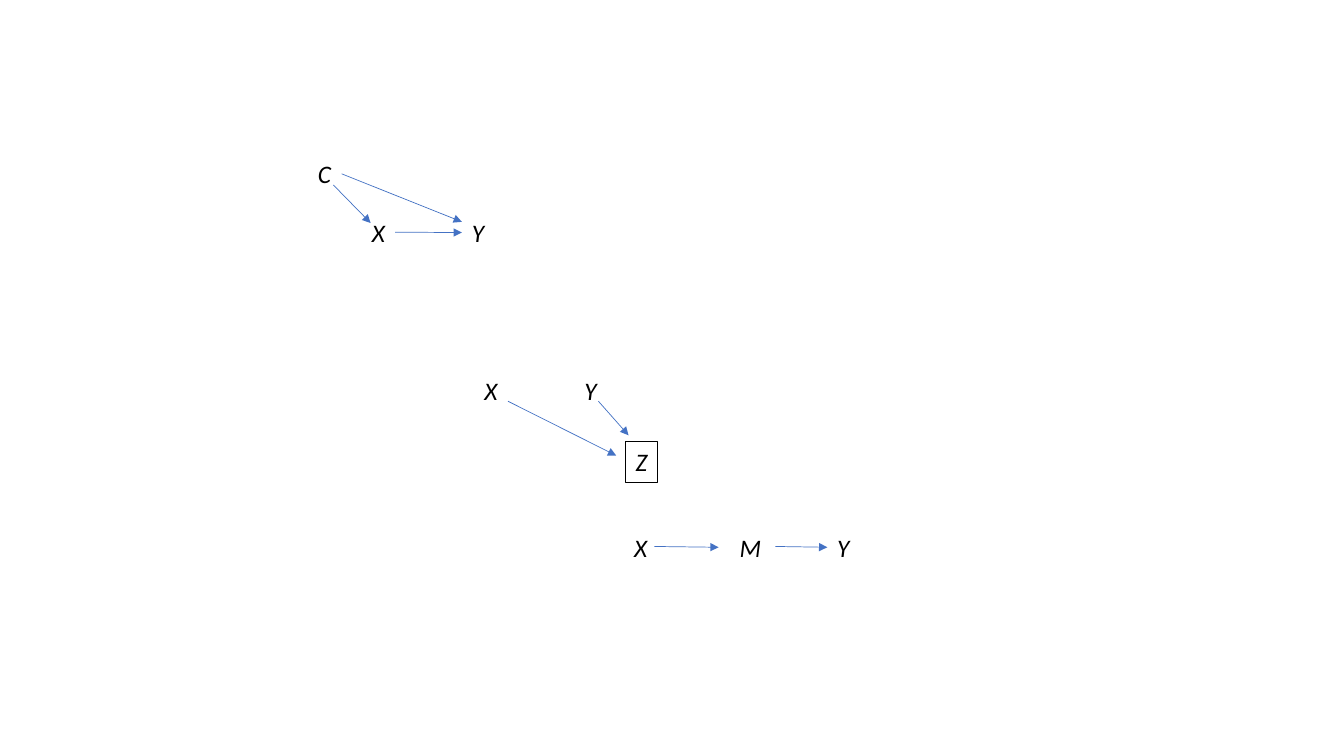
import pptx
import pptx.dml.color
import pptx.enum.shapes
import pptx.enum.text
import pptx.oxml
import pptx.oxml.ns
import pptx.util
from pptx.util import Cm

BLACK = pptx.dml.color.RGBColor(0x00, 0x00, 0x00)
BLUE = pptx.dml.color.RGBColor(0x44, 0x72, 0xC4)
NODE_HEIGHT = 1.03
NODE_WIDTHS = {"C": 0.84, "X": 0.84, "Y": 0.81, "Z": 0.81, "M": 1.07}


def add_node(page, box, name, x, y, framed=False):
    """Add a variable at x, y cm from the box corner, framed if conditioned on."""
    left, top = box
    node = page.shapes.add_textbox(
        Cm(left + x), Cm(top + y), Cm(NODE_WIDTHS[name]), Cm(NODE_HEIGHT))
    if framed:
        node.line.color.rgb = BLACK
        node.line.width = pptx.util.Pt(0.75)
    frame = node.text_frame
    frame.word_wrap = False
    frame.auto_size = pptx.enum.text.MSO_AUTO_SIZE.SHAPE_TO_FIT_TEXT
    span = frame.paragraphs[0].add_run()
    span.text = name
    span.font.name = "Calibri"
    span.font.size = pptx.util.Pt(18)
    span.font.italic = True
    span.font.color.rgb = BLACK


def add_arrow(page, box, start, end):
    """Add a causal arrow between two points in cm from the box corner."""
    left, top = box
    arrow = page.shapes.add_connector(
        pptx.enum.shapes.MSO_CONNECTOR.STRAIGHT,
        Cm(left + start[0]), Cm(top + start[1]),
        Cm(left + end[0]), Cm(top + end[1]))
    arrow.line.color.rgb = BLUE
    arrow.line.width = pptx.util.Pt(0.5)
    properties = arrow.element.spPr
    namespace = pptx.oxml.ns.nsdecls("a")
    properties.find(pptx.oxml.ns.qn("a:ln")).append(
        pptx.oxml.parse_xml(f'<a:tailEnd {namespace} type="triangle"/>'))
    properties.append(pptx.oxml.parse_xml(f"<a:effectLst {namespace}/>"))


def add_confounder(page, box):
    """Draw C as a common cause of X and Y."""
    add_node(page, box, "C", 0, 0)
    add_node(page, box, "X", 1.36, 1.49)
    add_node(page, box, "Y", 3.88, 1.49)
    add_arrow(page, box, (0.64, 0.8), (1.58, 1.76))
    add_arrow(page, box, (2.2, 1.99), (3.88, 2))
    add_arrow(page, box, (0.85, 0.52), (3.88, 1.73))


def add_collider(page, box):
    """Draw the framed Z as a common effect of X and Y."""
    add_node(page, box, "X", 0, 0)
    add_node(page, box, "Y", 2.52, 0)
    add_node(page, box, "Z", 3.81, 1.79, framed=True)
    add_arrow(page, box, (3.12, 0.77), (3.88, 1.63))
    add_arrow(page, box, (0.84, 0.77), (3.57, 2.14))


def add_mediator(page, box):
    """Draw M on the way from X to Y."""
    add_node(page, box, "X", 0, 0)
    add_node(page, box, "M", 2.66, 0)
    add_node(page, box, "Y", 5.12, 0)
    add_arrow(page, box, (0.76, 0.49), (2.38, 0.51))
    add_arrow(page, box, (3.81, 0.49), (5.12, 0.51))


deck = pptx.Presentation()
deck.slide_width = Cm(33.87)
deck.slide_height = Cm(19.05)
page = deck.slides.add_slide(deck.slide_layouts[6])
add_confounder(page, (7.76, 3.86))
add_collider(page, (11.96, 9.34))
add_mediator(page, (15.73, 13.28))
deck.save("out.pptx")
